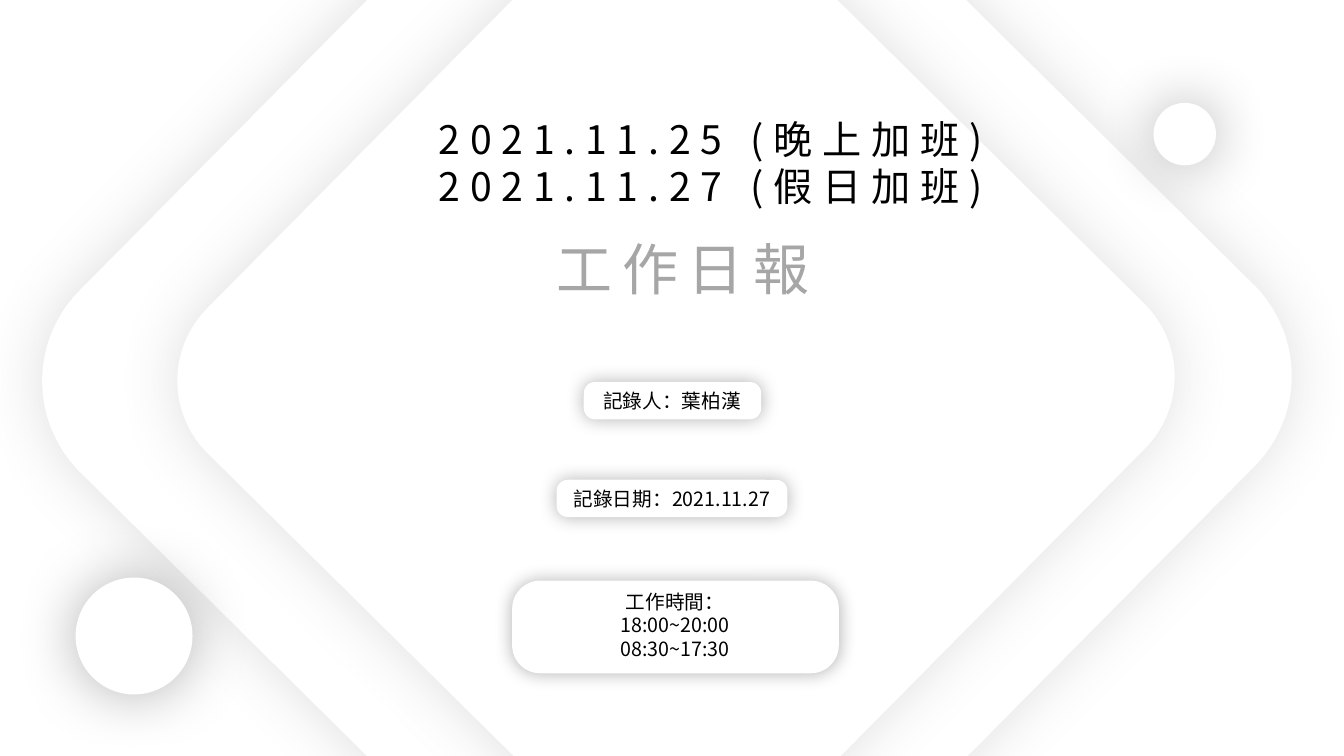
from typing import NamedTuple

from lxml import etree
from pptx import Presentation
from pptx import util as u
from pptx.dml.color import RGBColor
from pptx.enum import shapes, text
from pptx.oxml.ns import qn

FONT = "Noto Sans CJK SC"
COLORS = {"white": "FFFFFF", "black": "000000", "gray": "A6A6A6", "shade": "595959"}


class Box(NamedTuple):
    left: float
    top: float
    width: float
    height: float


class Glow(NamedTuple):
    color: str
    alpha: int  # percent
    blur: int  # points


class Panel(NamedTuple):
    box: Box
    glow: Glow
    radius: float | None = None  # None gives a circle
    rotation: float = 0


class Caption(NamedTuple):
    box: Box
    lines: list[str]
    size: int
    color: str = "black"
    spacing: int = 0  # points between letters


class Badge(NamedTuple):
    panel: Panel
    caption: Caption


DIAMOND_GLOW = Glow("shade", 19, 43)
CIRCLE_GLOW = Glow("black", 30, 43)
BADGE_GLOW = Glow("black", 30, 13)

DIAMONDS = [Panel(box, DIAMOND_GLOW, 0.134, 44.7)
            for box in (Box(1.86, -1, 9.51, 9.51), Box(2.91, -0.04, 7.59, 7.59))]
CIRCLES = [Panel(box, CIRCLE_GLOW)
           for box in (Box(0.75, 5.73, 1.16, 1.16), Box(11.44, 1.02, 0.62, 0.62))]
TITLES = [
    Caption(Box(2.66, 1.09, 8.78, 1.04),
            ["2021.11.25 (晚上加班)", "2021.11.27 (假日加班)"], 28, spacing=7),
    Caption(Box(4.4, 2.28, 4.75, 0.77), ["工作日報"], 40, "gray", 7),
]
BADGES = [
    Badge(Panel(panel, BADGE_GLOW, 0.302), Caption(caption, lines, 14))
    for panel, caption, lines in (
        (Box(5.79, 3.79, 1.76, 0.37), Box(5.62, 3.81, 2.09, 0.34), ["記錄人：葉柏漢"]),
        (Box(5.52, 4.76, 2.29, 0.37), Box(5.46, 4.78, 2.41, 0.34),
         ["記錄日期：2021.11.27"]),
        (Box(5.08, 5.76, 3.24, 0.92), Box(4.99, 5.8, 3.41, 1.16),
         ["工作時間：", "18:00~20:00", "08:30~17:30"]),
    )
]


def rgb(name: str) -> RGBColor:
    return RGBColor.from_string(COLORS[name])


def place(box: Box) -> list[int]:
    return [u.Inches(v) for v in box]


def add_glow(sp, glow: Glow) -> None:
    sp.shadow.inherit = False
    effects = sp._element.spPr.find(qn("a:effectLst"))
    shadow = etree.SubElement(effects, qn("a:outerShdw"), blurRad=str(u.Pt(glow.blur)),
                              dist="0", dir="0", algn="ctr", rotWithShape="0")
    color = etree.SubElement(shadow, qn("a:srgbClr"), val=COLORS[glow.color])
    etree.SubElement(color, qn("a:alpha"), val=str(glow.alpha * 1000))


def add_panel(parent, panel: Panel) -> None:
    kind = shapes.MSO_SHAPE.OVAL if panel.radius is None else shapes.MSO_SHAPE.ROUNDED_RECTANGLE
    sp = parent.add_shape(kind, *place(panel.box))
    if panel.radius is not None:
        sp.adjustments[0] = panel.radius
    sp.rotation = panel.rotation
    sp.fill.solid()
    sp.fill.fore_color.rgb = rgb("white")
    sp.line.fill.background()
    add_glow(sp, panel.glow)


def add_caption(parent, caption: Caption) -> None:
    tf = parent.add_textbox(*place(caption.box)).text_frame
    tf.word_wrap = True
    tf.auto_size = text.MSO_AUTO_SIZE.SHAPE_TO_FIT_TEXT
    for i, line in enumerate(caption.lines):
        p = tf.add_paragraph() if i else tf.paragraphs[0]
        p.alignment = text.PP_ALIGN.CENTER
        r = p.add_run()
        r.text = line
        r.font.size = u.Pt(caption.size)
        r.font.color.rgb = rgb(caption.color)
        r.font.name = FONT
        rpr = r.font._element
        etree.SubElement(rpr, qn("a:ea"), typeface=FONT)
        if caption.spacing:
            rpr.set("spc", str(caption.spacing * 100))


def main() -> None:
    prs = Presentation()
    prs.slide_width, prs.slide_height = u.Inches(13.33), u.Inches(7.5)
    s = prs.slides.add_slide(prs.slide_layouts[6])
    s.background.fill.solid()
    s.background.fill.fore_color.rgb = rgb("white")

    # Backdrop diamonds
    for diamond in DIAMONDS:
        add_panel(s.shapes, diamond)

    # Dates and title
    for title in TITLES:
        add_caption(s.shapes, title)

    # Corner circles
    for circle in CIRCLES:
        add_panel(s.shapes, circle)

    # Recorder, date and working hours
    for badge in BADGES:
        group = s.shapes.add_group_shape()
        add_panel(group.shapes, badge.panel)
        add_caption(group.shapes, badge.caption)

    prs.save("out.pptx")


if __name__ == "__main__":
    main()
